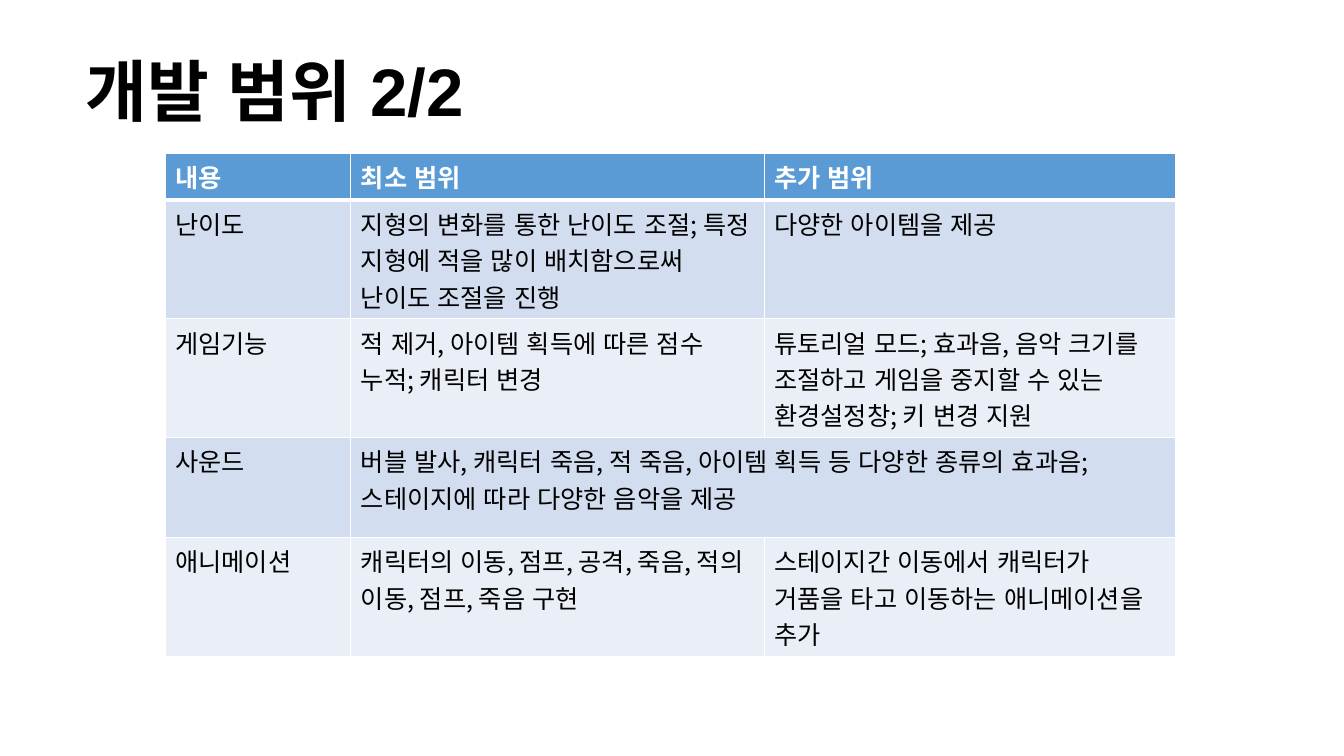
from pptx import Presentation
from pptx.dml.color import RGBColor
from pptx.enum.text import MSO_ANCHOR, MSO_AUTO_SIZE, PP_ALIGN
from pptx.oxml.ns import qn
from pptx.util import Inches, Pt
from lxml.etree import SubElement

WIDE, HIGH = Inches(13.33), Inches(7.5)
HUES = {"head": "5B9BD5", "odd": "D2DEEF", "even": "EAEFF7",
        "white": "FFFFFF", "black": "000000"}
HANGUL = "Noto Sans CJK KR"
COLS = [1.84, 4.1, 4.08]
ROWS = [0.46, 1.18, 1.18, 0.99, 1.18]
SCOPE = [
    ["내용", "최소 범위", "추가 범위"],
    ["난이도", "지형의 변화를 통한 난이도 조절; 특정 지형에 적을 많이 배치함으로써 난이도 조절을 진행",
     "다양한 아이템을 제공"],
    ["게임기능", "적 제거, 아이템 획득에 따른 점수 누적; 캐릭터 변경",
     "튜토리얼 모드; 효과음, 음악 크기를 조절하고 게임을 중지할 수 있는 환경설정창; 키 변경 지원"],
    ["사운드", "버블 발사, 캐릭터 죽음, 적 죽음, 아이템 획득 등 다양한 종류의 효과음; "
     "스테이지에 따라 다양한 음악을 제공"],
    ["애니메이션", "캐릭터의 이동, 점프, 공격, 죽음, 적의 이동, 점프, 죽음 구현",
     "스테이지간 이동에서 캐릭터가 거품을 타고 이동하는 애니메이션을 추가"],
]


def write(frame, text, size=18, font=HANGUL, hue="black", bold=False):
    par = frame.paragraphs[0]
    par.alignment = PP_ALIGN.LEFT
    run = par.add_run()
    run.text = text
    run.font.size = Pt(size)
    run.font.name = font
    run.font.bold = bold
    run.font.color.rgb = RGBColor.from_string(HUES[hue])
    props = run.font._element
    props.set("lang", "ko-KR")
    SubElement(props, qn("a:ea")).set("typeface", HANGUL)


class Deck:
    def __init__(self):
        self.show = Presentation()
        self.show.slide_width, self.show.slide_height = WIDE, HIGH
        self.slide = self.show.slides.add_slide(self.show.slide_layouts[5])

    def place(self, x, y, w, h):
        return int(x * WIDE), int(y * HIGH), int(w * WIDE), int(h * HIGH)

    def title(self, text, *box):
        shape = self.slide.shapes.title
        shape.left, shape.top, shape.width, shape.height = self.place(*box)
        frame = shape.text_frame
        frame.word_wrap = False
        frame.auto_size = MSO_AUTO_SIZE.SHAPE_TO_FIT_TEXT
        frame.vertical_anchor = MSO_ANCHOR.MIDDLE
        write(frame, text, size=48, font="Arial", bold=True)

    def edge(self, cell, side, width):
        line = SubElement(cell._tc.get_or_add_tcPr(), qn(f"a:ln{side}"), w=str(Pt(width)))
        fill = SubElement(line, qn("a:solidFill"))
        SubElement(fill, qn("a:srgbClr"), val=HUES["white"])

    def cell(self, cell, text, row):
        head = row == 0
        for side in "LRTB":
            thick = (row, side) in [(0, "B"), (1, "T")]
            self.edge(cell, side, 3 if thick else 1)
        cell.fill.solid()
        hue = "head" if head else "odd" if row % 2 else "even"
        cell.fill.fore_color.rgb = RGBColor.from_string(HUES[hue])
        if text:
            write(cell.text_frame, text, hue="white" if head else "black", bold=head)

    def table(self, data, *box):
        grid = self.slide.shapes.add_table(len(ROWS), len(COLS), *self.place(*box)).table
        for col, width in zip(grid.columns, COLS):
            col.width = Inches(width)
        for row, height in zip(grid.rows, ROWS):
            row.height = Inches(height)
        for r, words in enumerate(data):
            for c in range(len(COLS)):
                self.cell(grid.cell(r, c), words[c] if c < len(words) else "", r)
            if len(words) < len(COLS):
                grid.cell(r, len(words) - 1).merge(grid.cell(r, len(COLS) - 1))


def main():
    deck = Deck()
    deck.title("개발 범위 2/2", 0.056, 0.058, 0.334, 0.121)
    deck.table(SCOPE, 0.123, 0.203, 0.752, 0.665)
    deck.show.save("out.pptx")


if __name__ == "__main__":
    main()
